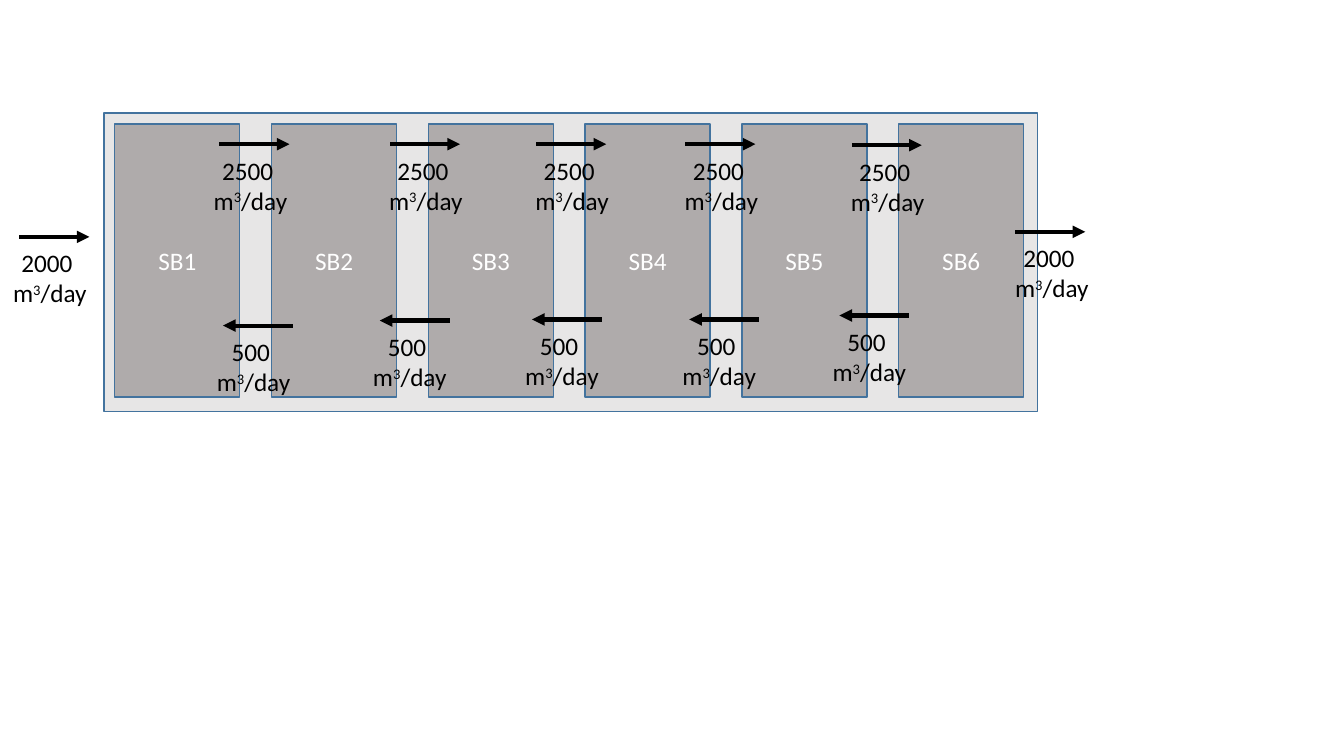
import pptx
import pptx.util
import pptx.dml.color
import pptx.enum.shapes
import pptx.enum.text
import pptx.oxml
import pptx.oxml.ns

Pt = pptx.util.Pt
COLORS = {"tank": "E7E6E6", "basin": "AFABAB", "outline": "43739E",
          "basin_text": "FFFFFF", "flow": "000000"}
BASINS = ["SB1", "SB2", "SB3", "SB4", "SB5", "SB6"]
UNIT = [("m", 0), ("3", 30000), ("/day", 0)]

# amount, arrow end that carries the head, then (arrow left, arrow top, label left)
FLOWS = [
    ("2000 ", "tailEnd", [(13.9, 169.2, 1.4)]),
    ("2500 ", "tailEnd", [(156.8, 103, 144.7), (278.6, 103, 270), (383, 103, 374.4),
                          (489.6, 103, 481), (608.4, 103.7, 599.8)]),
    ("500 ", "headEnd", [(159.3, 232.6, 146.9), (271.3, 229, 258.5), (380, 228.2, 367.2),
                         (492.3, 228.2, 479.5), (599.6, 225.4, 586.8)]),
    ("2000 ", "tailEnd", [(725.2, 165.6, 717.1)]),
]

TANK = (74.2, 80.8, 666.7, 213)
BASIN_LEFT, BASIN_TOP, BASIN_WIDTH, BASIN_HEIGHT = 82, 88.5, 89.3, 195.2
BASIN_STEP = 112
ARROW_LENGTH, LABEL_DROP = 50, 4.1
LABEL_WIDTH, LABEL_HEIGHT = 68.4, 50.9
FONT = {"name": "Calibri", "size": Pt(18)}
LABEL_FRAME = {"word_wrap": False,
               "auto_size": pptx.enum.text.MSO_AUTO_SIZE.SHAPE_TO_FIT_TEXT}


def color(name):
    return pptx.dml.color.RGBColor.from_string(COLORS[name])


def apply(target, values):
    for name, value in values.items():
        setattr(target, name, value)


def add_span(para, text, color_name, baseline=0):
    """Add a formatted run; baseline is in thousandths of a percent."""
    para.alignment = pptx.enum.text.PP_ALIGN.CENTER
    span = para.add_run()
    span.text = text
    apply(span.font, FONT)
    span.font.color.rgb = color(color_name)
    if baseline:
        span._r.get_or_add_rPr().set("baseline", str(baseline))


def add_box(page, bounds, fill):
    box = page.shapes.add_shape(pptx.enum.shapes.MSO_SHAPE.RECTANGLE, *map(Pt, bounds))
    box.shadow.inherit = False
    box.fill.solid()
    box.fill.fore_color.rgb = color(fill)
    box.line.color.rgb = color("outline")
    box.line.width = Pt(1)
    return box


def add_arrow(page, left, top, head_end):
    arrow = page.shapes.add_connector(
        pptx.enum.shapes.MSO_CONNECTOR.STRAIGHT,
        *map(Pt, (left, top, left + ARROW_LENGTH, top)))
    arrow.line.color.rgb = color("flow")
    arrow.line.width = Pt(3)
    properties = arrow._element.spPr
    for parent, tag, values in [(properties.ln, head_end, {"type": "triangle"}),
                                (properties, "effectLst", {})]:
        child = pptx.oxml.parse_xml(f'<a:{tag} {pptx.oxml.ns.nsdecls("a")}/>')
        for name, value in values.items():
            child.set(name, value)
        parent.append(child)


def add_flow_label(page, left, top, amount):
    box = page.shapes.add_textbox(*map(Pt, (left, top, LABEL_WIDTH, LABEL_HEIGHT)))
    frame = box.text_frame
    apply(frame, LABEL_FRAME)
    add_span(frame.paragraphs[0], amount, "flow")
    unit_para = frame.add_paragraph()
    for text, baseline in UNIT:
        add_span(unit_para, text, "flow", baseline)


def main():
    deck = pptx.Presentation()
    apply(deck, {"slide_width": Pt(960), "slide_height": Pt(540)})
    page = deck.slides.add_slide(deck.slide_layouts[6])

    add_box(page, TANK, "tank")
    for index, name in enumerate(BASINS):
        left = BASIN_LEFT + index * BASIN_STEP
        box = add_box(page, (left, BASIN_TOP, BASIN_WIDTH, BASIN_HEIGHT), "basin")
        box.text_frame.vertical_anchor = pptx.enum.text.MSO_ANCHOR.MIDDLE
        add_span(box.text_frame.paragraphs[0], name, "basin_text")

    for amount, head_end, places in FLOWS:
        for arrow_left, arrow_top, label_left in places:
            add_arrow(page, arrow_left, arrow_top, head_end)
            add_flow_label(page, label_left, arrow_top + LABEL_DROP, amount)

    deck.save("out.pptx")


if __name__ == "__main__":
    main()
